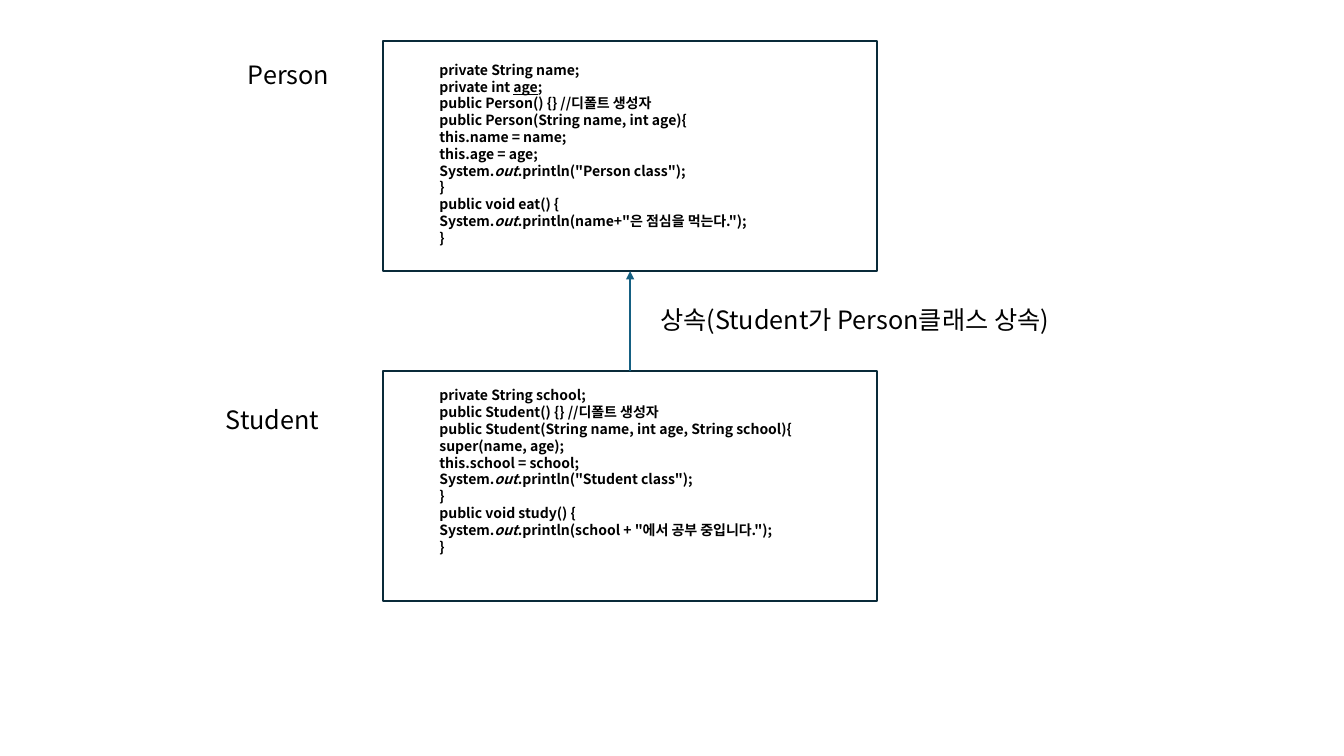
import pptx
import pptx.dml.color
import pptx.enum.shapes
import pptx.oxml
import pptx.oxml.ns
import pptx.util
from pptx.util import Inches

FONT = "Noto Sans CJK KR"
BOX_LEFT, BOX_WIDTH, BOX_HEIGHT = 3.8, 4.9, 2.28
PERSON_TOP, STUDENT_TOP = 0.41, 3.68

PERSON_CODE = [
    "private String name;",
    [("private int ", {}), ("age", {"underline": True}), (";", {})],
    "public Person() {} //디폴트 생성자",
    "public Person(String name, int age){",
    "this.name = name;",
    "this.age = age;",
    [("System.", {}), ("out", {"italic": True}), ('.println("Person class");', {})],
    "}",
    "public void eat() {",
    [("System.", {}), ("out", {"italic": True}), ('.println(name+"은 점심을 먹는다.");', {})],
    "}",
]
STUDENT_CODE = [
    "private String school;",
    "public Student() {} //디폴트 생성자",
    "public Student(String name, int age, String school){",
    "super(name, age);",
    "this.school = school;",
    [("System.", {}), ("out", {"italic": True}), ('.println("Student class");', {})],
    "}",
    "public void study() {",
    [("System.", {}), ("out", {"italic": True}), ('.println(school + "에서 공부 중입니다.");', {})],
    "}",
]


def color(value):
    return pptx.dml.color.RGBColor.from_string(value)


def sub(parent, tag, **attrs):
    el = pptx.oxml.parse_xml(f"<{tag} {pptx.oxml.ns.nsdecls('a')}/>")
    for name, value in attrs.items():
        el.set(name, value)
    parent.append(el)


def add_run(p, text, size=18, bold=False, italic=False, underline=False):
    r = p.add_run()
    r.text = text
    r.font.size = pptx.util.Pt(size)
    r.font.bold = bold
    r.font.italic = italic
    r.font.underline = underline
    r.font.color.rgb = color("000000")
    r.font.name = FONT
    sub(r.font._element, "a:ea", typeface=FONT)


def add_text(s, left, top, width, height, lines, spacing=22, **fmt):
    sp = s.shapes.add_textbox(Inches(left), Inches(top), Inches(width), Inches(height))
    tf = sp.text_frame
    tf.word_wrap = True
    for i, line in enumerate(lines):
        p = tf.add_paragraph() if i else tf.paragraphs[0]
        p.line_spacing = pptx.util.Pt(spacing)
        for text, extra in [(line, {})] if isinstance(line, str) else line:
            add_run(p, text, **fmt, **extra)


def add_class_box(s, top):
    sp = s.shapes.add_shape(
        pptx.enum.shapes.MSO_SHAPE.RECTANGLE,
        Inches(BOX_LEFT), Inches(top), Inches(BOX_WIDTH), Inches(BOX_HEIGHT))
    sp.shadow.inherit = False
    sp.fill.solid()
    sp.fill.fore_color.rgb = color("FFFFFF")
    sp.line.color.rgb = color("092A39")
    sp.line.width = pptx.util.Pt(1.5)


def add_arrow(s, x, start, end):
    c = s.shapes.add_connector(
        pptx.enum.shapes.MSO_CONNECTOR.STRAIGHT,
        Inches(x), Inches(start), Inches(x), Inches(end))
    c.line.color.rgb = color("156082")
    c.line.width = pptx.util.Pt(1.5)
    sub(c.line._get_or_add_ln(), "a:tailEnd", type="triangle")
    sub(c._element.spPr, "a:effectLst")


def main():
    prs = pptx.Presentation()
    prs.slide_width, prs.slide_height = Inches(13.33), Inches(7.5)
    s = prs.slides.add_slide(prs.slide_layouts[6])
    code = {"size": 10, "bold": True, "spacing": 12}

    add_class_box(s, PERSON_TOP)
    add_text(s, 4.26, 0.56, 5.64, 2.12, PERSON_CODE, **code)
    add_text(s, 2.36, 0.53, 1.26, 0.4, ["Person"])

    add_class_box(s, STUDENT_TOP)
    add_text(s, 4.26, 3.79, 5.64, 1.95, STUDENT_CODE, **code)
    add_text(s, 2.14, 3.96, 1.26, 0.4, ["Student"])

    add_arrow(s, BOX_LEFT + BOX_WIDTH / 2, STUDENT_TOP, PERSON_TOP + BOX_HEIGHT)
    add_text(s, 6.45, 2.96, 4.22, 0.4, ["상속(Student가 Person클래스 상속)"])

    prs.save("out.pptx")


if __name__ == "__main__":
    main()
